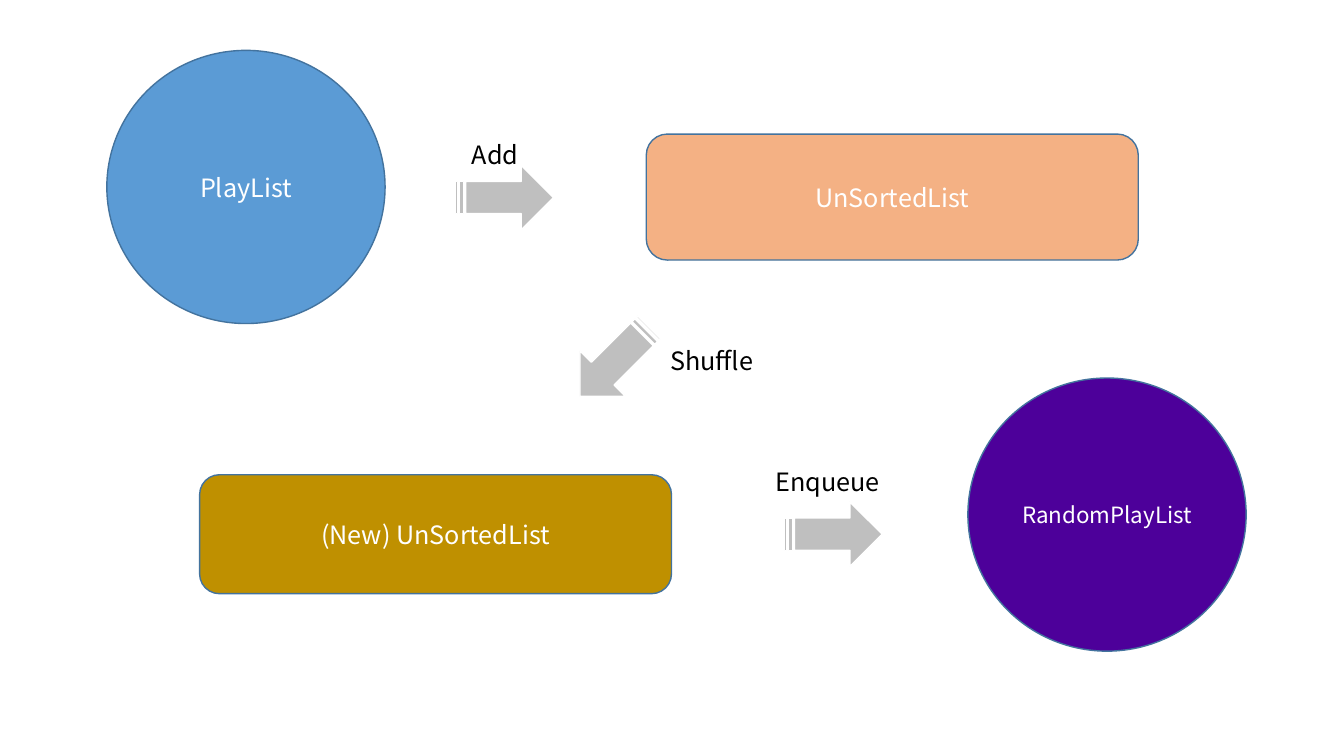
from dataclasses import dataclass

from lxml.etree import SubElement
from pptx import Presentation
from pptx.dml.color import RGBColor
from pptx.enum.shapes import MSO_SHAPE
from pptx.enum.text import MSO_ANCHOR, MSO_AUTO_SIZE, PP_ALIGN
from pptx.oxml.ns import qn
from pptx.util import Inches, Pt


@dataclass(frozen=True)
class Theme:
    """Colours, font and type sizes of the slide."""
    font: str = "Noto Sans CJK KR"
    body: int = 18
    small: int = 16
    white: str = "FFFFFF"
    black: str = "000000"
    outline: str = "43739E"
    arrow: str = "BFBFBF"
    playlist: str = "5B9BD5"
    unsorted: str = "F4B184"
    shuffled: str = "BF9000"
    random: str = "4D009A"


THEME = Theme()
CIRCLE_SIZE = (2.76, 2.71)
ARROW_SIZE = (0.97, 0.64)


def write_text(shape, text, size, color):
    """Put one styled line of text into a shape."""
    para = shape.text_frame.paragraphs[0]
    para.text = text
    span = para.runs[0]
    span.font.size = Pt(size)
    span.font.name = THEME.font
    span.font.color.rgb = RGBColor.from_string(color)
    SubElement(span.font._element, qn("a:ea")).set("typeface", THEME.font)
    return para


def add_figure(page, kind, box, fill, line):
    """Draw a filled and outlined preset shape in its box."""
    figure = page.shapes.add_shape(kind, *map(Inches, box))
    figure.shadow.inherit = False
    figure.fill.solid()
    figure.fill.fore_color.rgb = RGBColor.from_string(fill)
    figure.line.color.rgb = RGBColor.from_string(line)
    figure.line.width = Pt(1)
    return figure


def add_node(page, kind, box, text, fill, size=THEME.body):
    """Draw a list node with its centred name."""
    node = add_figure(page, kind, box, fill, THEME.outline)
    node.text_frame.word_wrap = True
    node.text_frame.vertical_anchor = MSO_ANCHOR.MIDDLE
    write_text(node, text, size, THEME.white).alignment = PP_ALIGN.CENTER


def add_step(page, left, top, text, label_offset, label_width, rotation=0):
    """Draw a step arrow with its label placed relative to it."""
    arrow = add_figure(page, MSO_SHAPE.STRIPED_RIGHT_ARROW,
                       (left, top, *ARROW_SIZE), THEME.arrow, THEME.white)
    arrow.rotation = rotation
    across, down = label_offset
    label = page.shapes.add_textbox(Inches(left + across), Inches(top + down),
                                    Inches(label_width), Inches(0.41))
    label.text_frame.word_wrap = True
    label.text_frame.auto_size = MSO_AUTO_SIZE.SHAPE_TO_FIT_TEXT
    write_text(label, text, THEME.body, THEME.black).alignment = PP_ALIGN.LEFT


def build_flow(page):
    """Place the four lists and the steps between them."""
    circle, bar = MSO_SHAPE.OVAL, MSO_SHAPE.ROUNDED_RECTANGLE
    add_node(page, circle, (1.06, 0.5, *CIRCLE_SIZE), "PlayList", THEME.playlist)
    add_node(page, circle, (9.6, 3.75, *CIRCLE_SIZE), "RandomPlayList",
             THEME.random, THEME.small)
    add_node(page, bar, (6.41, 1.33, 4.88, 1.25), "UnSortedList", THEME.unsorted)
    add_node(page, bar, (1.98, 4.71, 4.68, 1.18), "(New) UnSortedList",
             THEME.shuffled)
    add_step(page, 4.52, 1.64, "Add", (0.06, -0.31), 0.75)
    add_step(page, 5.61, 3.27, "Shuffle", (0.94, 0.11), 1.86, rotation=135)
    add_step(page, 7.78, 4.98, "Enqueue", (-0.19, -0.4), 1.35)


def main():
    """Build and save the deck."""
    deck = Presentation()
    deck.slide_width = Inches(13.33)
    deck.slide_height = Inches(7.5)
    build_flow(deck.slides.add_slide(deck.slide_layouts[6]))
    deck.save("out.pptx")


if __name__ == "__main__":
    main()
